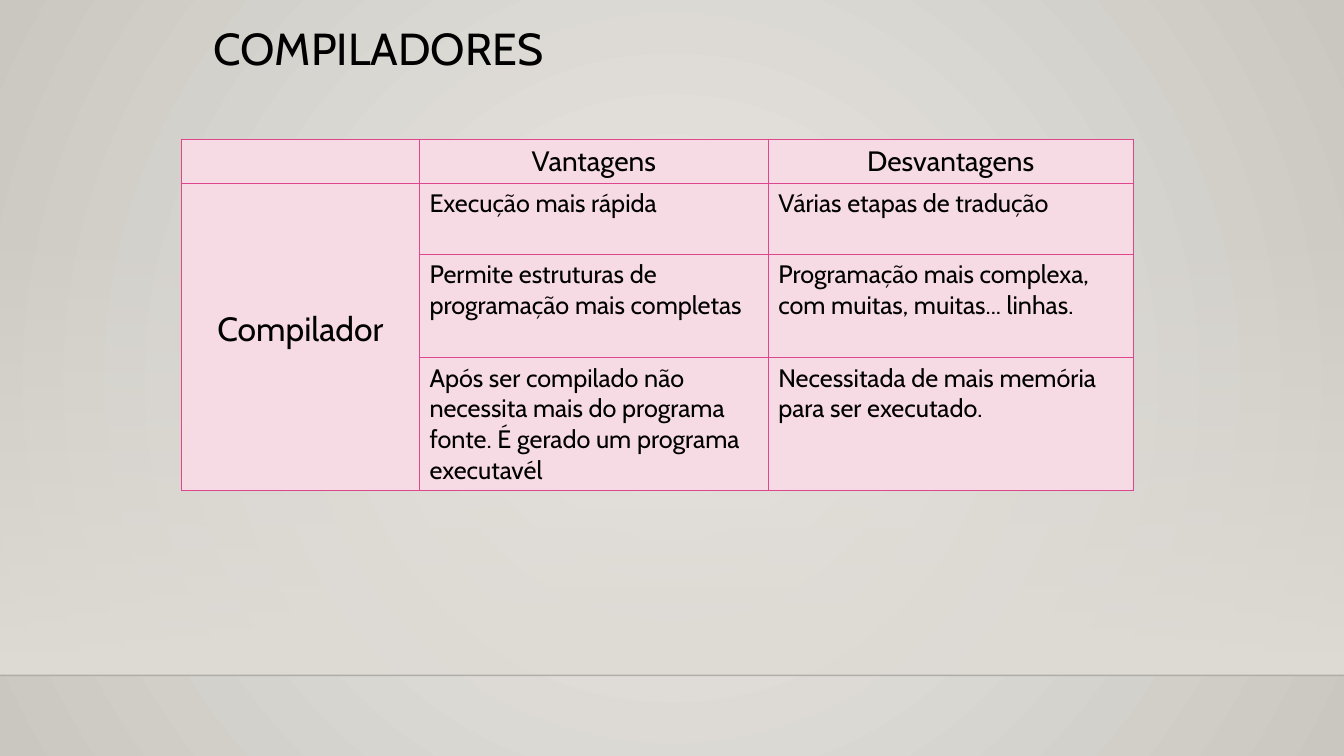
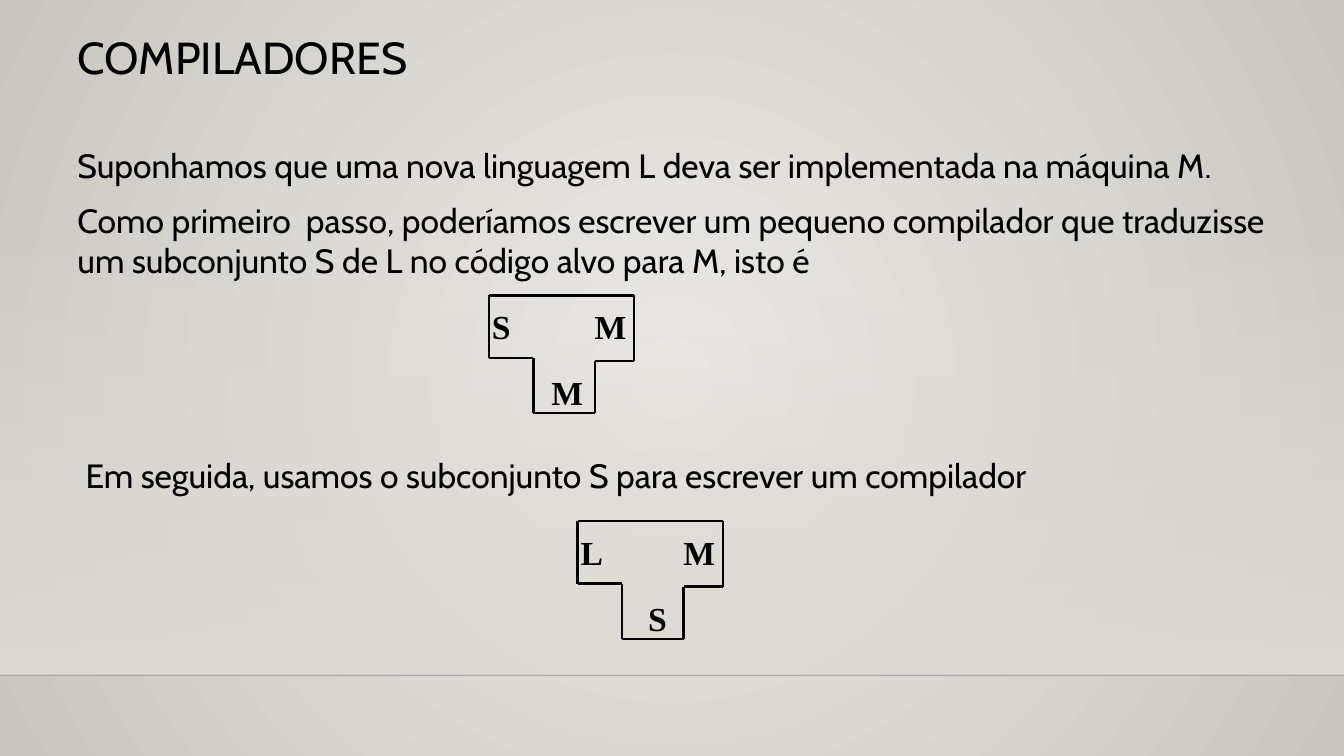
from lxml import etree
from pptx import Presentation
from pptx.dml.color import RGBColor
from pptx.enum.shapes import MSO_CONNECTOR, MSO_SHAPE
from pptx.enum.text import MSO_ANCHOR, MSO_AUTO_SIZE, PP_ALIGN
from pptx.oxml.ns import qn
from pptx.util import Inches, Pt

LEFT, CENTER = PP_ALIGN.LEFT, PP_ALIGN.CENTER
TOP, MIDDLE = MSO_ANCHOR.TOP, MSO_ANCHOR.MIDDLE
NO_FIT = MSO_AUTO_SIZE.NONE
RECTANGLE, STRAIGHT = MSO_SHAPE.RECTANGLE, MSO_CONNECTOR.STRAIGHT

COLORS = {
    "text": "000000",
    "center": "ECEAE7",
    "edge": "CAC7C1",
    "band": "DFDBD5",
    "rule": "000001",
    "cell": "F6DAE4",
    "border": "DE478E",
}
BODY_FONT, DIAGRAM_FONT = "Cabin", "Times New Roman"
WIDTH, HEIGHT = 13.33, 7.5
BAND_TOP, RULE_TOP = 2.21, 6.7
TITLE_ONLY = 5

COLUMNS = [2.36, 3.46, 3.62]
ROWS = [0.44, 0.7, 1.03, 1.31]
HEADERS = ["Vantagens", "Desvantagens"]
COMPARISON = [
    ("Execução mais rápida", "Várias etapas de tradução"),
    ("Permite estruturas de programação mais completas",
     "Programação mais complexa, com muitas, muitas... linhas."),
    ("Após ser compilado não necessita mais do programa fonte. "
     "É gerado um programa executavél",
     "Necessitada de mais memória para ser executado."),
]
STEPS = [
    ("Suponhamos que uma nova linguagem L deva ser implementada na máquina M.", 0, 0),
    ("Como primeiro  passo, poderíamos escrever um pequeno compilador que "
     "traduzisse um subconjunto S de L no código alvo para M, isto é", 10, 0),
    ("Em seguida, usamos o subconjunto S para escrever um compilador", 125, 0.08),
]

T_OUTLINE = [(0, 0), (1.44, 0), (1.44, 0.65), (1.05, 0.65),
             (1.05, 1.17), (0.44, 1.17), (0.44, 0.62), (0, 0.62)]
TARGET_TAB = 1.02


def rgb(name):
    """Return the named colour."""
    return RGBColor.from_string(COLORS[name])


def add_node(parent, tag, **attributes):
    """Append a drawing element with the given attributes."""
    node = etree.SubElement(parent, qn(tag))
    for key, value in attributes.items():
        node.set(key, str(value))
    return node


def write_gradient(element, stops):
    """Replace the content of the gradient in an element with these stops."""
    gradient = next(element.iter(qn("a:gradFill")))
    for child in list(gradient):
        gradient.remove(child)
    stop_list = add_node(gradient, "a:gsLst")
    for position, name, opacity in stops:
        stop = add_node(stop_list, "a:gs", pos=position * 1000)
        color = add_node(stop, "a:srgbClr", val=COLORS[name])
        if opacity < 100:
            add_node(color, "a:alpha", val=opacity * 1000)
    return gradient


def add_line(shapes, start, end, color, width):
    """Add a straight line between two points."""
    line = shapes.add_connector(STRAIGHT, *(Inches(value) for value in start + end))
    line.line.color.rgb = rgb(color)
    line.line.width = Pt(width)
    add_node(line.element.spPr, "a:effectLst")
    return line


def build_master(deck, page):
    """Put the shared background, band and rule on the slide master."""
    master = deck.slide_master
    master.background.fill.gradient()
    gradient = write_gradient(master.element,
                              [(0, "center", 100), (100, "edge", 100)])
    focus = add_node(gradient, "a:path", path="circle")
    add_node(focus, "a:fillToRect", l=50000, t=50000, r=50000, b=50000)

    band = page.shapes.add_shape(RECTANGLE, 0, Inches(BAND_TOP), Inches(WIDTH),
                                 Inches(RULE_TOP - BAND_TOP))
    band.shadow.inherit = False
    band.line.fill.background()
    band.fill.gradient()
    gradient = write_gradient(band.element, [(0, "band", 0), (100, "band", 100)])
    add_node(gradient, "a:lin", ang=5400000, scaled=0)

    rule = add_line(page.shapes, (0, RULE_TOP), (WIDTH, RULE_TOP), "rule", 1)
    add_node(next(rule.element.iter(qn("a:srgbClr"))), "a:alpha", val=20000)

    tree = master.element.cSld.spTree
    for order, shape in enumerate((band, rule)):
        next(shape.element.iter(qn("p:cNvPr"))).set("id", str(100 + order))
        tree.insert(2 + order, shape.element)


def style(para, size, align=LEFT, font=BODY_FONT, bold=False):
    """Format a whole paragraph."""
    para.alignment = align
    para.font.name = font
    para.font.size = Pt(size)
    para.font.bold = bold
    para.font.color.rgb = rgb("text")


def place_title(page, left, top, width):
    """Move and format the title placeholder."""
    title = page.shapes.title
    title.left, title.top = Inches(left), Inches(top)
    title.width, title.height = Inches(width), Inches(1.25)
    frame = title.text_frame
    frame.text = "COMPILADORES"
    frame.auto_size = NO_FIT
    frame.vertical_anchor = TOP
    style(frame.paragraphs[0], 32)
    frame.paragraphs[0].line_spacing = 0.9


def add_frame(shapes, left, top, width, height):
    """Add a wrapping text box and return its text frame."""
    box = shapes.add_textbox(Inches(left), Inches(top), Inches(width), Inches(height))
    box.text_frame.word_wrap = True
    return box.text_frame


def format_cell(cell):
    """Give a cell its border and fill."""
    properties = cell._tc.get_or_add_tcPr()
    for side in ("a:lnL", "a:lnR", "a:lnT", "a:lnB"):
        line = add_node(properties, side, w=Pt(0.75))
        add_node(add_node(line, "a:solidFill"), "a:srgbClr", val=COLORS["border"])
    cell.fill.solid()
    cell.fill.fore_color.rgb = rgb("cell")


def write_cell(cell, text, size, align=LEFT):
    """Write formatted text in a cell."""
    cell.text = text
    style(cell.text_frame.paragraphs[0], size, align)


def add_comparison(page, left, top):
    """Add the table of advantages and disadvantages."""
    table = page.shapes.add_table(len(ROWS), len(COLUMNS), Inches(left), Inches(top),
                                  Inches(sum(COLUMNS)), Inches(sum(ROWS))).table
    table.first_row = table.horz_banding = False
    for column, width in zip(table.columns, COLUMNS):
        column.width = Inches(width)
    for row, height in zip(table.rows, ROWS):
        row.height = Inches(height)
    for cell in table.iter_cells():
        format_cell(cell)
    for column, header in enumerate(HEADERS, 1):
        write_cell(table.cell(0, column), header, 20, CENTER)
    for row, texts in enumerate(COMPARISON, 1):
        for column, text in enumerate(texts, 1):
            write_cell(table.cell(row, column), text, 18)
    subject = table.cell(1, 0)
    subject.merge(table.cell(len(COMPARISON), 0))
    write_cell(subject, "Compilador", 24, CENTER)
    subject.vertical_anchor = MIDDLE
    subject.margin_bottom = Inches(0.2)


def add_steps(page, left, top, width, height):
    """Add the explanation, leaving room for a diagram before the last step."""
    frame = add_frame(page.shapes, left, top, width, height)
    for index, (text, space, indent) in enumerate(STEPS):
        para = frame.add_paragraph() if index else frame.paragraphs[0]
        para.text = text
        para.space_before = Pt(space)
        para._p.get_or_add_pPr().set("marL", str(Inches(indent)))
        style(para, 24)


def add_t_diagram(page, left, top, languages, host, host_left):
    """Add a T diagram with its source, target and host languages."""
    shapes = page.shapes.add_group_shape().shapes
    points = [(left + x, top + y) for x, y in T_OUTLINE]
    for start, end in zip(points, points[1:] + points[:1]):
        add_line(shapes, start, end, "text", 1.75)

    arms = add_frame(shapes, left - 0.07, top + 0.06, 1.57, 0.51).paragraphs[0]
    arms.text = "\t".join(languages)
    tabs = add_node(arms._p.get_or_add_pPr(), "a:tabLst")
    add_node(tabs, "a:tab", pos=Inches(TARGET_TAB), algn="l")
    stem = add_frame(shapes, left + host_left, top + 0.71, 0.59, 0.51).paragraphs[0]
    stem.text = host
    for para in (arms, stem):
        style(para, 24, LEFT, DIAGRAM_FONT, True)


def build_comparison_slide(page):
    """Build the slide that compares advantages and disadvantages."""
    place_title(page, 2.02, 0.22, 9)
    add_comparison(page, 1.8, 1.38)


def build_bootstrap_slide(page):
    """Build the slide that explains the two compilers."""
    place_title(page, 0.67, 0.3, 12)
    add_steps(page, 0.67, 1.39, 12.27, 5.12)
    add_t_diagram(page, 4.85, 2.93, "SM", "M", 0.52)
    add_t_diagram(page, 5.73, 5.17, "LM", "S", 0.6)


def main():
    """Build and save the deck."""
    deck = Presentation()
    deck.slide_width, deck.slide_height = Inches(WIDTH), Inches(HEIGHT)
    layout = deck.slide_layouts[TITLE_ONLY]
    comparison, bootstrap = (deck.slides.add_slide(layout) for _ in range(2))
    build_master(deck, comparison)
    build_comparison_slide(comparison)
    build_bootstrap_slide(bootstrap)
    deck.save("out.pptx")


if __name__ == "__main__":
    main()
